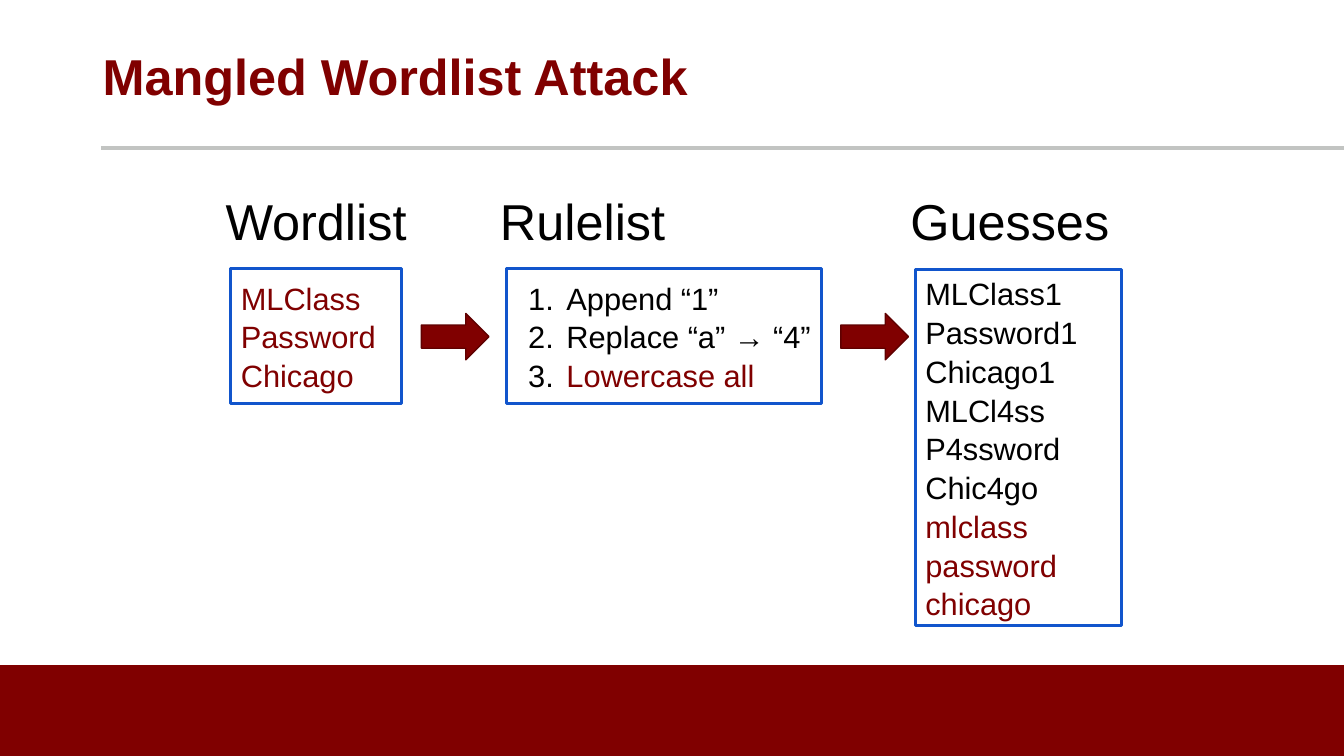
from dataclasses import dataclass

from lxml.etree import SubElement
from pptx import Presentation
from pptx.dml.color import RGBColor
from pptx.enum.shapes import MSO_CONNECTOR, MSO_SHAPE
from pptx.enum.text import MSO_ANCHOR, PP_ALIGN
from pptx.oxml.ns import qn
from pptx.util import Inches, Pt


@dataclass(frozen=True)
class Theme:
    font: str = "Arial"
    maroon: str = "800000"
    dark_maroon: str = "5F0000"
    black: str = "000000"
    blue: str = "1155CC"
    gray: str = "C2C4C2"
    heading_size: int = 36
    body_size: int = 22
    line_spacing: float = 1.05


THEME = Theme()
SLIDE_WIDTH, SLIDE_HEIGHT = 13.33, 7.5
FOOTER_HEIGHT = 0.9
TITLE = "Mangled Wordlist Attack"

# Heading: text, left, alignment
HEADINGS = [
    ("Wordlist", 2.01, PP_ALIGN.CENTER),
    ("Rulelist", 4.86, PP_ALIGN.LEFT),
    ("Guesses", 8.89, PP_ALIGN.CENTER),
]
HEADING_TOP, HEADING_WIDTH, HEADING_HEIGHT = 1.74, 2.25, 0.73

# Panel: left, top, width, height, numbered, black lines, maroon lines
PANELS = [
    (2.29, 2.66, 1.69, 1.34, False, [], ["MLClass", "Password", "Chicago"]),
    (5.02, 2.66, 3.13, 1.34, True,
     ["Append “1”", "Replace “a” → “4”"], ["Lowercase all"]),
    (9.08, 2.67, 2.04, 3.54, False,
     ["MLClass1", "Password1", "Chicago1", "MLCl4ss", "P4ssword", "Chic4go"],
     ["mlclass", "password", "chicago"]),
]
ARROW_LEFTS = [4.18, 8.34]
ARROW_TOP, ARROW_WIDTH, ARROW_HEIGHT = 3.11, 0.67, 0.46


def color(value):
    return RGBColor.from_string(value)


def add_shape(page, kind, bounds, fill=None, line=None, line_width=1):
    shape = page.shapes.add_shape(kind, *map(Inches, bounds))
    shape.shadow.inherit = False
    if fill:
        shape.fill.solid()
        shape.fill.fore_color.rgb = color(fill)
    else:
        shape.fill.background()
    if line:
        shape.line.color.rgb = color(line)
        shape.line.width = Pt(line_width)
    else:
        shape.line.fill.background()
    return shape


def prepare_frame(shape, anchor, top=0.1, bottom=0.1):
    frame = shape.text_frame
    frame.word_wrap = True
    frame.vertical_anchor = anchor
    frame.margin_left = frame.margin_right = Inches(0.1)
    frame.margin_top, frame.margin_bottom = Inches(top), Inches(bottom)
    return frame


def write(para, text, size, text_color, bold=False, align=PP_ALIGN.LEFT):
    para.text = text
    para.alignment = align
    for span in para.runs:
        span.font.name = THEME.font
        span.font.size = Pt(size)
        span.font.bold = bold
        span.font.color.rgb = color(text_color)


def add_number(para):
    """Number the paragraph automatically, with a black marker."""
    properties = para._p.get_or_add_pPr()
    properties.set("marL", str(Inches(0.5)))
    properties.set("indent", str(Inches(-0.38)))
    marker_color = SubElement(properties, qn("a:buClr"))
    SubElement(marker_color, qn("a:srgbClr"), val=THEME.black)
    SubElement(properties, qn("a:buAutoNum"), type="arabicPeriod")


def add_frame_of_slide(page):
    """Draw the footer band, the rule under the title and the title."""
    add_shape(page, MSO_SHAPE.RECTANGLE,
              (0, SLIDE_HEIGHT - FOOTER_HEIGHT, SLIDE_WIDTH, FOOTER_HEIGHT),
              THEME.maroon)
    rule = page.shapes.add_connector(
        MSO_CONNECTOR.STRAIGHT, Inches(1), Inches(1.47),
        Inches(SLIDE_WIDTH), Inches(1.47))
    rule.line.color.rgb = color(THEME.gray)
    rule.line.width = Pt(3)
    SubElement(rule._element.spPr, qn("a:effectLst"))
    box = page.shapes.add_textbox(*map(Inches, (0.92, 0, 11.5, 1.45)))
    frame = prepare_frame(box, MSO_ANCHOR.MIDDLE, 0.1, 0.05)
    write(frame.paragraphs[0], TITLE, THEME.heading_size, THEME.maroon, True)


def add_heading(page, text, left, align):
    box = page.shapes.add_textbox(
        *map(Inches, (left, HEADING_TOP, HEADING_WIDTH, HEADING_HEIGHT)))
    frame = prepare_frame(box, MSO_ANCHOR.TOP, 0.15)
    write(frame.paragraphs[0], text, THEME.heading_size, THEME.black, align=align)


def add_panel(page, bounds, numbered, black_lines, maroon_lines):
    box = add_shape(page, MSO_SHAPE.RECTANGLE, bounds, None, THEME.blue, 2.25)
    frame = prepare_frame(box, MSO_ANCHOR.MIDDLE)
    lines = [(text, THEME.black) for text in black_lines]
    lines += [(text, THEME.maroon) for text in maroon_lines]
    for index, (text, text_color) in enumerate(lines):
        para = frame.add_paragraph() if index else frame.paragraphs[0]
        para.line_spacing = THEME.line_spacing
        if numbered:
            add_number(para)
        write(para, text, THEME.body_size, text_color)


def main():
    deck = Presentation()
    deck.slide_width, deck.slide_height = Inches(SLIDE_WIDTH), Inches(SLIDE_HEIGHT)
    page = deck.slides.add_slide(deck.slide_layouts[6])
    add_frame_of_slide(page)
    for heading in HEADINGS:
        add_heading(page, *heading)
    for *bounds, numbered, black_lines, maroon_lines in PANELS:
        add_panel(page, bounds, numbered, black_lines, maroon_lines)
    for left in ARROW_LEFTS:
        add_shape(page, MSO_SHAPE.RIGHT_ARROW,
                  (left, ARROW_TOP, ARROW_WIDTH, ARROW_HEIGHT),
                  THEME.maroon, THEME.dark_maroon)
    deck.save("out.pptx")


if __name__ == "__main__":
    main()
